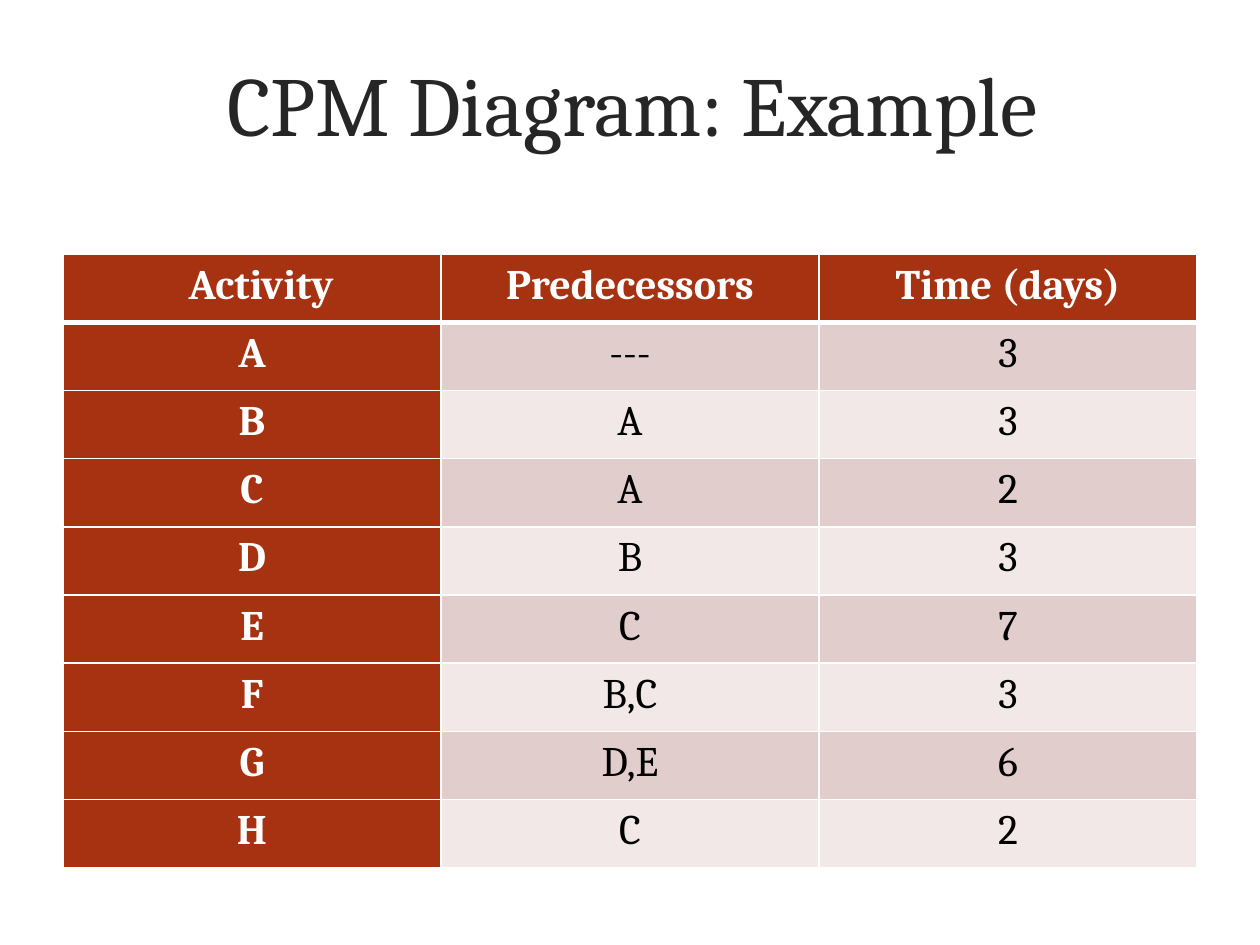
import pptx
import pptx.util
import pptx.dml.color
import pptx.enum.text
import pptx.oxml
import pptx.oxml.ns
from lxml import etree

RGB = pptx.dml.color.RGBColor
WHITE = RGB(0xFF, 0xFF, 0xFF)
BLACK = RGB(0x00, 0x00, 0x00)
INK = RGB(0x26, 0x26, 0x26)
RUST = RGB(0xA6, 0x32, 0x12)
ROSE = RGB(0xE1, 0xCE, 0xCC)
PALE = RGB(0xF1, 0xE8, 0xE7)
FACE = "Cambria"
ROWS = [
    ("Activity", "Predecessors", "Time (days)"),
    ("A", "---", "3"),
    ("B", "A", "3"),
    ("C", "A", "2"),
    ("D", "B", "3"),
    ("E", "C", "7"),
    ("F", "B,C", "3"),
    ("G", "D,E", "6"),
    ("H", "C", "2"),
]


def px(n):
    """Turn px, at 126 to the inch, into EMU."""
    return pptx.util.Emu(round(n * 914400 / 126))


def style(para, size, color, bold=False):
    para.alignment = pptx.enum.text.PP_ALIGN.CENTER
    para.font.name = FACE
    para.font.size = pptx.util.Pt(size)
    para.font.color.rgb = color
    para.font.bold = bold


def edge(cell, widths):
    """Draw white cell borders; widths maps L, R, T, B to points."""
    props = cell._tc.get_or_add_tcPr()
    for spot, side in enumerate("LRTB"):
        line = etree.Element(pptx.oxml.ns.qn(f"a:ln{side}"),
                             w=str(pptx.util.Pt(widths[side])))
        fill = etree.SubElement(line, pptx.oxml.ns.qn("a:solidFill"))
        etree.SubElement(fill, pptx.oxml.ns.qn("a:srgbClr"), val=str(WHITE))
        props.insert(spot, line)


def title(slide, left, top, width, height):
    box = slide.shapes.add_textbox(px(left), px(top), px(width), px(height))
    frame = box.text_frame
    frame.word_wrap = True
    frame.vertical_anchor = pptx.enum.text.MSO_ANCHOR.MIDDLE
    frame.text = "CPM Diagram: Example"
    style(frame.paragraphs[0], 48, INK)


def fill_cell(cell, text, row, col):
    head = row == 0 or col == 0
    cell.fill.solid()
    cell.fill.fore_color.rgb = RUST if head else ROSE if row % 2 else PALE
    cell.margin_left = cell.margin_right = px(9)
    cell.margin_top = cell.margin_bottom = 0
    cell.text = text
    para = cell.text_frame.paragraphs[0]
    para.line_spacing = 1.15
    style(para, 24, WHITE if head else BLACK, head)
    edge(cell, {"L": 1, "R": 1, "T": 3 if row == 1 else 1,
                "B": 3 if row == 0 else 1})


def grid(slide, left, top, width, height):
    count, cols = len(ROWS), len(ROWS[0])
    table = slide.shapes.add_table(count, cols, px(left), px(top),
                                   px(width), px(height)).table
    for col in table.columns:
        col.width = px(width / cols)
    for r, texts in enumerate(ROWS):
        table.rows[r].height = px(height / count)
        for c, text in enumerate(texts):
            fill_cell(table.cell(r, c), text, r, c)
    # The first heading sits a little right of centre.
    table.cell(0, 0).margin_left = px(27)


def main():
    deck = pptx.Presentation()
    deck.slide_width, deck.slide_height = px(1260), px(945)
    slide = deck.slides.add_slide(deck.slide_layouts[6])
    title(slide, 97, 47, 1071, 112)
    grid(slide, 63, 254, 1134, 614)
    deck.save("out.pptx")


if __name__ == "__main__":
    main()
